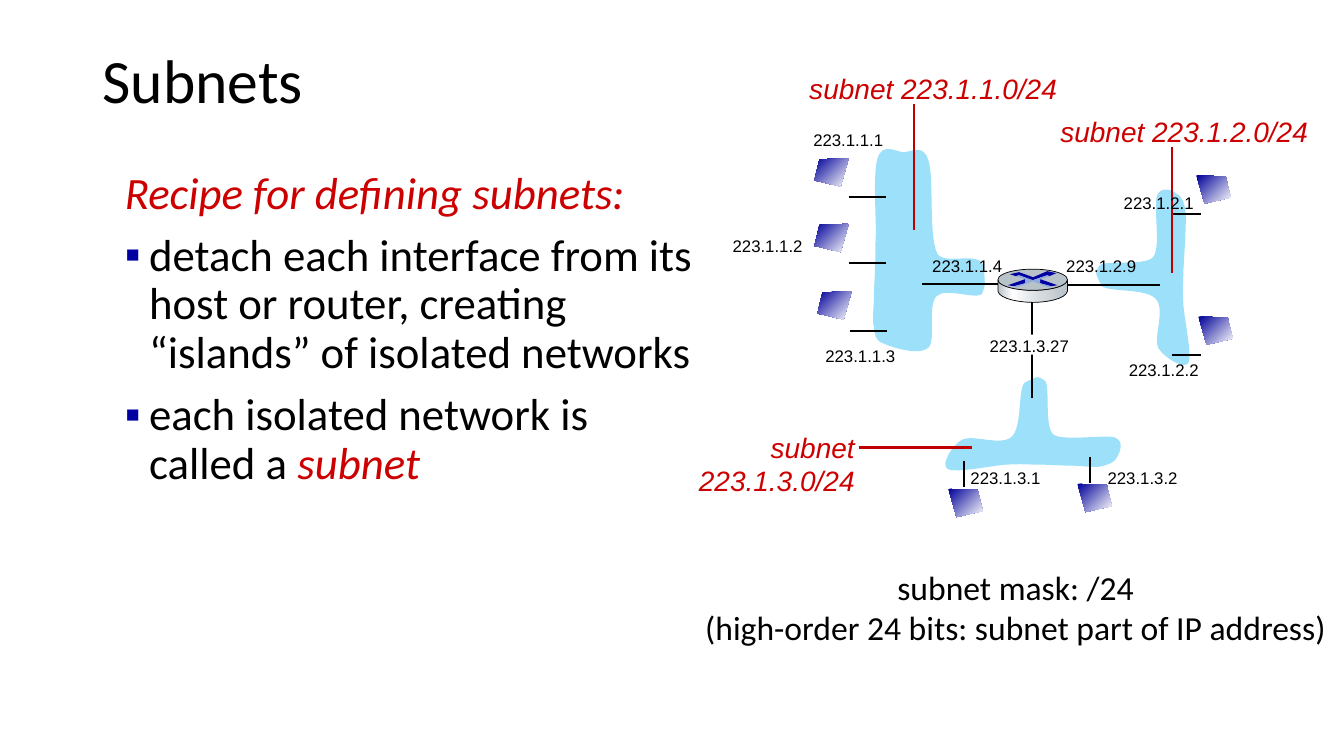
from copy import deepcopy
from lxml.etree import SubElement
from pptx import Presentation
from pptx.dml.color import RGBColor
from pptx.enum.shapes import MSO_CONNECTOR, MSO_SHAPE
from pptx.enum.text import MSO_ANCHOR, MSO_AUTO_SIZE, PP_ALIGN
from pptx.oxml.ns import qn
from pptx.util import Pt

PX = 9144  # 100 px to the inch
BLACK = RGBColor(0x00, 0x00, 0x00)
WHITE = RGBColor(0xFF, 0xFF, 0xFF)
RED = RGBColor(0xCC, 0x00, 0x00)
POINTER_RED = RGBColor(0xC0, 0x00, 0x00)
SKY = RGBColor(0x9C, 0xE0, 0xFA)
NAVY = RGBColor(0x00, 0x00, 0x99)
ARROW_BLUE = RGBColor(0x00, 0x00, 0xA3)
PALE_BLUE = RGBColor(0x8F, 0xAA, 0xDC)
STEEL = RGBColor(0xB8, 0xC2, 0xC9)
LIGHT_STEEL = RGBColor(0xD6, 0xDC, 0xE0)

presentation = Presentation()
presentation.slide_width = 4000 * PX // 3
presentation.slide_height = 750 * PX
slide = presentation.slides.add_slide(presentation.slide_layouts[6])
shapes = slide.shapes


def add_text(left, top, width, height, lines, size, font_name="Arial", color=BLACK,
             italic=False, align=PP_ALIGN.LEFT, wrap=False):
    box = shapes.add_textbox(left * PX, top * PX, width * PX, height * PX)
    frame = box.text_frame
    frame.word_wrap = wrap
    frame.auto_size = MSO_AUTO_SIZE.NONE if wrap else MSO_AUTO_SIZE.SHAPE_TO_FIT_TEXT
    frame.text = "\n".join(lines)
    for paragraph in frame.paragraphs:
        paragraph.alignment = align
        font = paragraph.font
        font.name, font.size, font.italic = font_name, Pt(size), italic
        font.color.rgb = color
    return frame


def add_outline(start, segments, stops, angle=0):
    """Segments hold 2 numbers for a line or 6 for a Bezier curve; stops are (position, colour)."""
    points = [segment[i:i + 2] for segment in segments for i in range(0, len(segment), 2)]
    builder = shapes.build_freeform(*start, scale=PX)
    builder.add_line_segments(points)
    shape = builder.convert_to_shape()
    # Merge each three line steps that belong to a curve
    steps = iter(shape.element.spPr.findall(".//" + qn("a:lnTo")))
    for segment in segments:
        step = next(steps)
        if len(segment) == 6:
            curve = step.makeelement(qn("a:cubicBezTo"))
            step.addprevious(curve)
            for control in (step, next(steps), next(steps)):
                curve.append(control[0])
                control.getparent().remove(control)
    shape.shadow.inherit = False
    shape.line.fill.background()
    if len(stops) == 1:
        shape.fill.solid()
        shape.fill.fore_color.rgb = stops[0][1]
        return shape
    shape.fill.gradient()
    shape.fill.gradient_angle = angle
    stop_list = shape.element.spPr.find(".//" + qn("a:gsLst"))
    while len(stop_list) < len(stops):
        stop_list.append(deepcopy(stop_list[0]))
    for stop, (position, color) in zip(shape.fill.gradient_stops, stops):
        stop.position = position
        stop.color.rgb = color
    return shape


# Title
title = add_text(92, 34, 1150, 98, ["Subnets"], 44, "Calibri", wrap=True)
title.vertical_anchor = MSO_ANCHOR.MIDDLE
title.paragraphs[0].line_spacing = 0.9

# Subnet islands: bottom, right, left
islands = [
    ((1016, 380), [
        (1010, 389, 1014, 423, 1004, 433), (994, 443, 966, 431, 955, 436),
        (945, 441, 933, 461, 940, 465), (947, 470, 983, 462, 998, 461),
        (1013, 460, 1021, 461, 1032, 461), (1043, 461, 1053, 462, 1063, 462),
        (1072, 462, 1084, 464, 1091, 463), (1099, 461, 1106, 459, 1108, 454),
        (1111, 449, 1116, 438, 1106, 434), (1095, 431, 1054, 438, 1045, 431),
        (1036, 423, 1042, 385, 1037, 378), (1029, 373, 1032, 372, 1016, 380)]),
    ((1093, 284), [
        (1102, 290, 1136, 286, 1146, 296), (1157, 306, 1144, 334, 1149, 345),
        (1155, 355, 1175, 367, 1179, 360), (1183, 353, 1175, 317, 1174, 302),
        (1173, 287, 1174, 279, 1174, 268), (1175, 257, 1175, 247, 1176, 237),
        (1176, 227, 1177, 216, 1176, 209), (1175, 201, 1172, 194, 1167, 192),
        (1163, 189, 1152, 184, 1148, 194), (1144, 205, 1152, 246, 1144, 255),
        (1137, 264, 1098, 258, 1091, 263), (1087, 271, 1085, 268, 1093, 284)]),
    ((976, 266), [
        (974, 247, 939, 264, 930, 252), (921, 234, 927, 176, 921, 159),
        (916, 142, 904, 151, 896, 151), (888, 150, 876, 142, 871, 156),
        (866, 169, 869, 213, 869, 231), (868, 249, 869, 254, 868, 265),
        (868, 276, 867, 286, 867, 296), (867, 306, 865, 317, 867, 324),
        (868, 332, 868, 338, 877, 341), (886, 345, 912, 353, 921, 345),
        (929, 338, 920, 303, 929, 294), (938, 285, 966, 297, 974, 292),
        (977, 284, 978, 285, 976, 266)]),
]
for start, curves in islands:
    add_outline(start, curves, [(0, SKY)])

# Links: the router's three, one per host, then the red pointers
links = [(1024, 299, 1024, 395), (915, 282, 1002, 282), (1044, 283, 1151, 283),
         (842, 195, 879, 195), (842, 261, 879, 261), (843, 328, 880, 328),
         (1162, 212, 1191, 212), (1163, 352, 1191, 352),
         (956, 457, 956, 483), (1081, 453, 1081, 479)]
pointers = [(852, 444, 964, 444), (907, 103, 907, 228), (1163, 146, 1163, 271)]
for ends in links + pointers:
    connector = shapes.add_connector(MSO_CONNECTOR.STRAIGHT, *(end * PX for end in ends))
    connector.line.color.rgb = POINTER_RED if ends in pointers else BLACK
    connector.line.width = Pt(1.5)
    SubElement(connector.element.spPr, qn("a:effectLst"))

# White plates behind two addresses
for left, top, width in ((727, 237, 91), (978, 332, 93)):
    plate = shapes.add_shape(MSO_SHAPE.RECTANGLE, left * PX, top * PX, width * PX, 20 * PX)
    plate.shadow.inherit = False
    plate.fill.solid()
    plate.fill.fore_color.rgb = WHITE
    plate.line.fill.background()

# Interface addresses
addresses = [("223.1.1.1", 797, 124), ("223.1.1.2", 717, 229), ("223.1.1.3", 809, 338),
             ("223.1.1.4", 915, 249), ("223.1.2.9", 1048, 249), ("223.1.2.2", 1110, 352),
             ("223.1.2.1", 1105, 186), ("223.1.3.2", 1089, 459), ("223.1.3.1", 953, 459),
             ("223.1.3.27", 972, 328)]
for address, left, top in addresses:
    add_text(left, top, 10 * len(address), 30, [address], 12)

# Host screens, mirrored on the left side
hosts = [(808, 157, True), (808, 222, True), (811, 289, True), (1187, 174, False),
         (1189, 314, False), (1069, 480, False), (941, 485, False)]
for left, top, mirrored in hosts:
    corners = [(left + (34 - x if mirrored else x), top + y)
               for x, y in ((0, 0), (29, 1), (34, 22), (8, 28), (0, 0))]
    add_outline(corners[0], corners[1:], [(0, NAVY), (1, WHITE)], angle=315)

# Router body and top
body = add_outline(
    (1059, 278),
    [(1059, 289), (1057, 297, 1037, 300, 1025, 300), (1013, 300, 992, 297, 990, 289),
     (990, 287, 990, 281, 990, 278), (993, 285, 1013, 288, 1025, 288),
     (1036, 288, 1056, 286, 1059, 278)],
    [(0, STEEL), (0.21, WHITE), (0.6, LIGHT_STEEL), (1, STEEL)])
lid = shapes.add_shape(MSO_SHAPE.OVAL, 990 * PX, 267 * PX, 69 * PX, 21 * PX)
lid.shadow.inherit = False
lid.fill.solid()
lid.fill.fore_color.rgb = STEEL
for shape in (body, lid):
    shape.line.color.rgb = BLACK
    shape.line.width = Pt(0.5)

# Router arrows
arrows = [
    (ARROW_BLUE, [(1039, 269), (1048, 271), (1041, 274), (1039, 273), (1024, 278), (1011, 273),
                  (1008, 274), (1002, 272), (1011, 270), (1025, 275), (1039, 269)]),
    (ARROW_BLUE, [(1032, 277), (1049, 283), (1043, 284), (1032, 281), (1032, 277)]),
    (ARROW_BLUE, [(1017, 277), (1017, 281), (1006, 284), (1000, 283), (1017, 277)]),
    (PALE_BLUE, [(1008, 274), (1011, 273), (1025, 278), (1039, 273), (1042, 274), (1032, 277),
                 (1032, 281), (1043, 284), (1040, 285), (1025, 279), (1009, 285), (1006, 284),
                 (1017, 281), (1017, 277), (1008, 274)]),
]
for color, corners in arrows:
    add_outline(corners[0], corners[1:], [(0, color)])

# Subnet names and mask
add_text(682, 422, 176, 77, ["subnet", "223.1.3.0/24"], 20, color=RED, italic=True,
         align=PP_ALIGN.RIGHT)
add_text(793, 66, 272, 44, ["subnet 223.1.1.0/24"], 20, color=RED, italic=True)
add_text(1042, 109, 272, 44, ["subnet 223.1.2.0/24"], 20, color=RED, italic=True)
add_text(687, 557, 641, 91,
         ["subnet mask: /24", "(high-order 24 bits: subnet part of IP address)"],
         24, "Calibri", align=PP_ALIGN.CENTER)

# Recipe: (bulleted, [(text, is red italic)])
recipe = [
    (False, [("Recipe for defining subnets:", True)]),
    (True, [("detach each interface from its host or router, creating "
             "“islands” of isolated networks", False)]),
    (True, [("each isolated network is called a ", False), ("subnet", True)]),
]
frame = shapes.add_textbox(99 * PX, 164 * PX, 602 * PX, 545 * PX).text_frame
frame.word_wrap = True
for index, (bulleted, runs) in enumerate(recipe):
    paragraph = frame.add_paragraph() if index else frame.paragraphs[0]
    paragraph.line_spacing = 0.9
    if index:
        paragraph.space_before = Pt(10)
    properties = paragraph._p.get_or_add_pPr()
    properties.set("marL", str(39 * PX))
    properties.set("indent", str(-24 * PX))
    if bulleted:
        bullet_color = SubElement(properties, qn("a:buClr"))
        SubElement(bullet_color, qn("a:srgbClr"), val=str(ARROW_BLUE))
        SubElement(properties, qn("a:buFont"), typeface="Arial")
        SubElement(properties, qn("a:buChar"), char="▪")
    paragraph.font.name, paragraph.font.size = "Calibri", Pt(32)
    for text, emphasised in runs:
        run = paragraph.add_run()
        run.text = text
        run.font.italic = emphasised
        run.font.color.rgb = RED if emphasised else BLACK

presentation.save("out.pptx")
